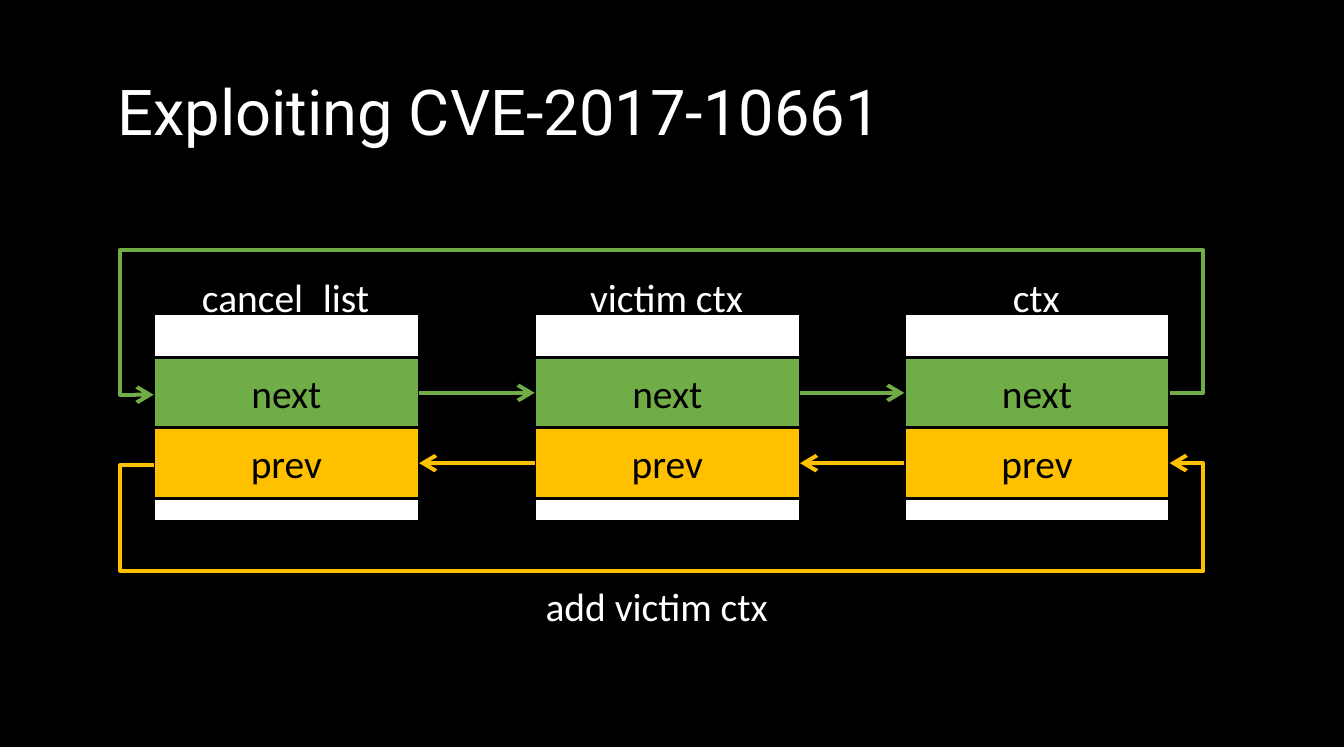
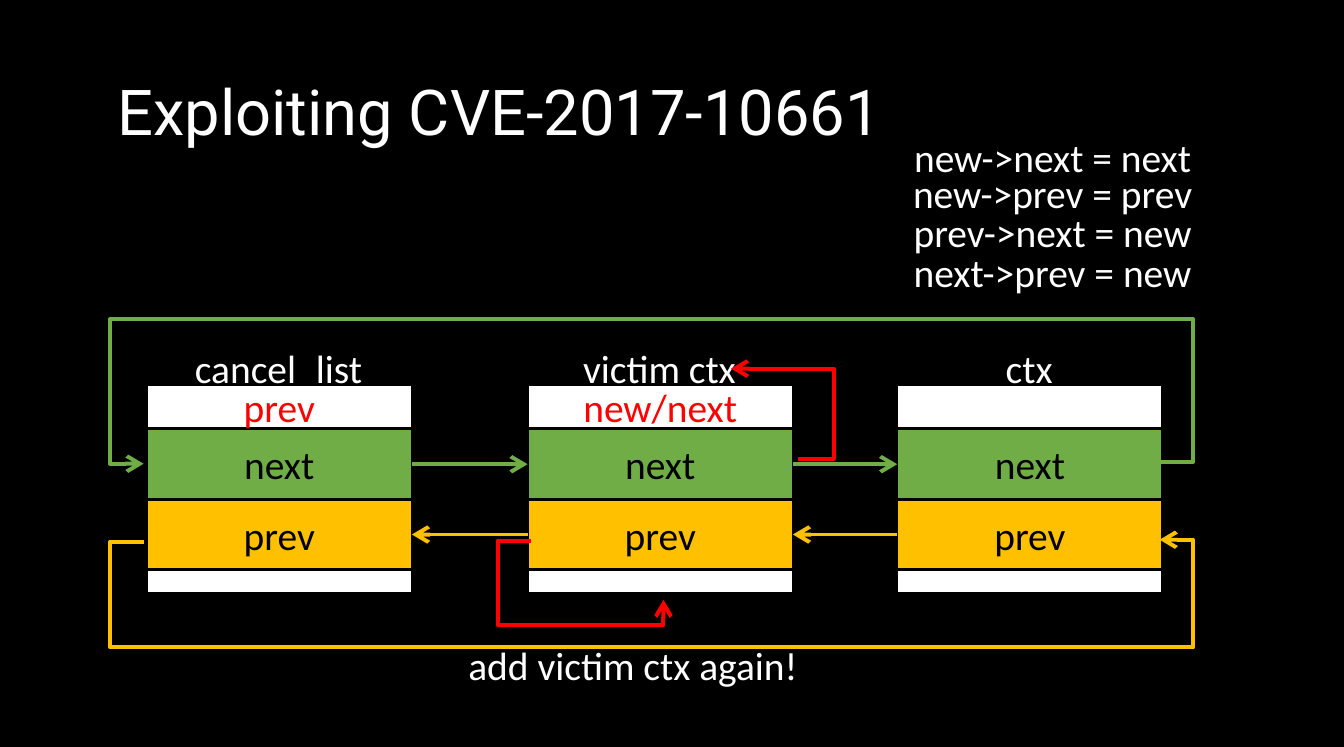
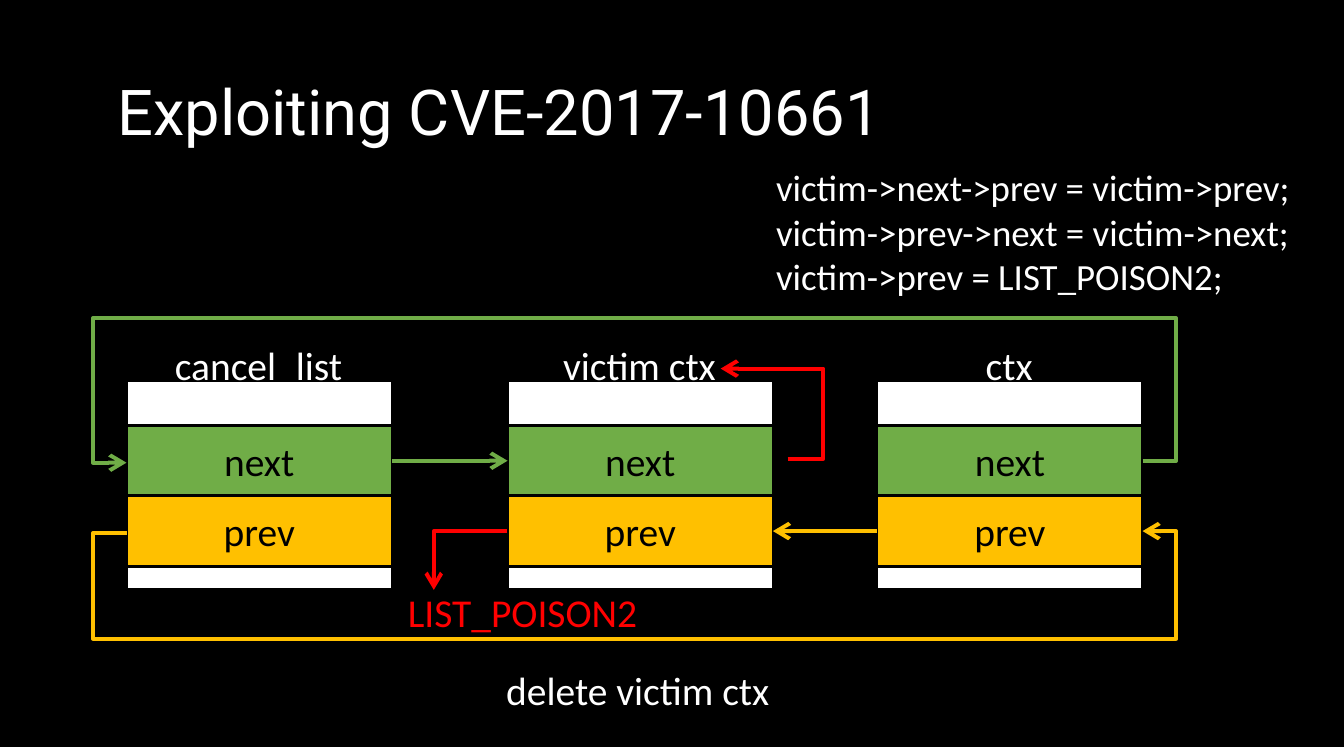
from lxml.etree import SubElement
from pptx import Presentation
from pptx.dml.color import RGBColor
from pptx.enum.shapes import MSO_CONNECTOR as Link, MSO_SHAPE as Preset
from pptx.enum.text import MSO_ANCHOR as Anchor, MSO_AUTO_SIZE as AutoSize, PP_ALIGN as Align
from pptx.oxml.ns import qn
from pptx.util import Pt

WIDTH, HEIGHT = 510.5, 283.7
BLACK, WHITE, RED = "000000", "FFFFFF", "FF0000"
GREEN, AMBER = "70AD47", "FFC000"
BODY_FONT, TITLE_FONT = "Calibri", "Roboto"
TITLE = "Exploiting CVE-2017-10661"

NODE_NAMES = ("cancel_list", "victim ctx", "ctx")
NODE_OFFSETS = (0, 144.7, 285.1)
NODE_WIDTH, NODE_HEIGHT = 100.8, 79.2
FIELD_HEIGHT = 26.8
NEXT_TOP, PREV_TOP = 16.7, 43.5
NEXT_MIDDLE, PREV_MIDDLE = 30.2, 56.9
LIST_WIDTH = NODE_OFFSETS[-1] + NODE_WIDTH
LOOP_REACH, LOOP_SKEW = 12.9, 0.7
LOOP_RISE, LOOP_DROP = -53.6, 40.4


def color(code):
    return RGBColor.from_string(code)


def write(frame, lines, size, ink, font=BODY_FONT, align=Align.CENTER):
    for index, line in enumerate(lines):
        para = frame.paragraphs[0] if index == 0 else frame.add_paragraph()
        para.alignment = align
        span = para.add_run()
        span.text = line
        span.font.size = Pt(size)
        span.font.name = font
        span.font.color.rgb = color(ink)


def set_frame(frame, side, edge, anchor=Anchor.TOP):
    frame.word_wrap = True
    frame.auto_size = AutoSize.NONE
    frame.vertical_anchor = anchor
    frame.margin_left = frame.margin_right = Pt(side)
    frame.margin_top = frame.margin_bottom = Pt(edge)


def add_label(shapes, left, top, width, lines, ink=WHITE, size=15, align=Align.CENTER):
    height = 4.3 + 1.25 * size * len(lines)
    box = shapes.add_textbox(Pt(left), Pt(top), Pt(width), Pt(height))
    set_frame(box.text_frame, 4.3, 2.15)
    write(box.text_frame, lines, size, ink, align=align)


def add_block(shapes, left, top, height, fill, text=None):
    block = shapes.add_shape(Preset.RECTANGLE, Pt(left), Pt(top), Pt(NODE_WIDTH), Pt(height))
    block.shadow.inherit = False
    block.fill.solid()
    block.fill.fore_color.rgb = color(fill)
    block.line.color.rgb = color(BLACK)
    block.line.width = Pt(1)
    if text:
        set_frame(block.text_frame, 7.2, 3.6, Anchor.MIDDLE)
        write(block.text_frame, [text], 15, BLACK)


def add_arrow(page, start, end, ink, bends=None):
    kind = Link.STRAIGHT if bends is None else Link.ELBOW
    arrow = page.shapes.add_connector(kind, *map(Pt, start + end))
    arrow.line.color.rgb = color(ink)
    arrow.line.width = Pt(1.5)
    properties = arrow.element.spPr
    SubElement(properties.find(qn("a:ln")), qn("a:tailEnd"), type="arrow")
    SubElement(properties, qn("a:effectLst"))
    if bends is not None:
        geometry = properties.find(qn("a:prstGeom"))
        geometry.set("prst", f"bentConnector{len(bends) + 2}")
        guides = geometry.find(qn("a:avLst"))
        for index, bend in enumerate(bends):
            axis = index % 2
            share = (bend - start[axis]) / (end[axis] - start[axis])
            SubElement(guides, qn("a:gd"), name=f"adj{index + 1}", fmla=f"val {round(share * 100000)}")


def add_node(page, left, top, name):
    shapes = page.shapes.add_group_shape().shapes
    add_block(shapes, left, top, NODE_HEIGHT, WHITE)
    add_block(shapes, left, top + NEXT_TOP, FIELD_HEIGHT, GREEN, "next")
    add_block(shapes, left, top + PREV_TOP, FIELD_HEIGHT, AMBER, "prev")
    add_label(shapes, left + 4, top - 17.5, 92.2, [name])


def add_loops(page, left, next_y, prev_y):
    right = left + LIST_WIDTH
    outer_left, outer_right = left - LOOP_REACH, right + LOOP_REACH
    add_arrow(page, (right, next_y), (left, next_y + LOOP_SKEW), GREEN,
              [outer_right, next_y + LOOP_RISE, outer_left])
    add_arrow(page, (left, prev_y + LOOP_SKEW), (right, prev_y), AMBER,
              [outer_left, prev_y + LOOP_DROP, outer_right])


def add_list(page, left, top, next_gaps=(0, 1), prev_gaps=(0, 1), loop_shift=(0, 0, 0)):
    for offset, name in zip(NODE_OFFSETS, NODE_NAMES):
        add_node(page, left + offset, top, name)

    def gap(index, y):
        return ((left + NODE_OFFSETS[index] + NODE_WIDTH, top + y),
                (left + NODE_OFFSETS[index + 1], top + y))

    for index in next_gaps:
        add_arrow(page, *gap(index, NEXT_MIDDLE), GREEN)
    for index in prev_gaps:
        add_arrow(page, *reversed(gap(index, PREV_MIDDLE)), AMBER)
    shift_x, shift_next, shift_prev = loop_shift
    add_loops(page, left + shift_x, top + NEXT_MIDDLE + shift_next, top + PREV_MIDDLE + shift_prev)


def add_self_link(page, left, top):
    add_arrow(page, (left + 25.4, top + 34.2), (left, top), RED, [left + 39])


def add_caption(page, center, top, text):
    add_label(page.shapes, center - 100, top, 200, [text])


def add_page(deck):
    page = deck.slides.add_slide(deck.slide_layouts[5])
    title = page.shapes.title
    title.left, title.top, title.width, title.height = map(Pt, (40.3, 23, 307.4, 37.4))
    set_frame(title.text_frame, 4.3, 4.3, Anchor.MIDDLE)
    write(title.text_frame, [TITLE], 24, WHITE, TITLE_FONT, Align.LEFT)
    return page


def add_first_insert(deck):
    page = add_page(deck)
    add_list(page, 58.4, 119)
    add_caption(page, 249.5, 218.9, "add victim ctx")


def add_second_insert(deck):
    page = add_page(deck)
    left, top = 55.7, 146.1
    add_list(page, left, top, loop_shift=(-1.1, -0.9, 2))
    add_caption(page, 240.5, 241.2, "add victim ctx again!")
    steps = ("new->next = next", "new->prev = prev", "prev->next = new", "next->prev = new")
    for step, step_top in zip(steps, (48.2, 61.9, 77, 92.2)):
        add_label(page.shapes, 307.4, step_top, 185, [step])
    for offset, text in zip(NODE_OFFSETS, ("prev", "new/next")):
        add_label(page.shapes, left + offset, top - 2.8, NODE_WIDTH, [text], RED)
    add_self_link(page, 277.7, 140)
    add_arrow(page, (201.8, 205.3), (252, 227.8), RED, [189, 237.3])


def add_removal(deck):
    page = add_page(deck)
    left, top = 48.1, 144.8
    add_list(page, left, top, next_gaps=(0,), prev_gaps=(1,))
    add_arrow(page, (left + NODE_OFFSETS[1], top + PREV_MIDDLE), (164.8, 224), RED, [])
    add_label(page.shapes, 150.6, 221.2, 117.4, ["LIST_POISON2"], RED, align=Align.LEFT)
    add_caption(page, 242.3, 250.6, "delete victim ctx")
    add_self_link(page, 273.8, 140)
    add_label(page.shapes, 290.5, 60.5, 210, [
        "victim->next->prev = victim->prev;",
        "victim->prev->next = victim->next;",
        "victim->prev = LIST_POISON2;",
    ], size=14, align=Align.LEFT)


def main():
    deck = Presentation()
    deck.slide_width, deck.slide_height = Pt(WIDTH), Pt(HEIGHT)
    backdrop = deck.slide_master.background.fill
    backdrop.solid()
    backdrop.fore_color.rgb = color(BLACK)
    add_first_insert(deck)
    add_second_insert(deck)
    add_removal(deck)
    deck.save("out.pptx")


if __name__ == "__main__":
    main()
